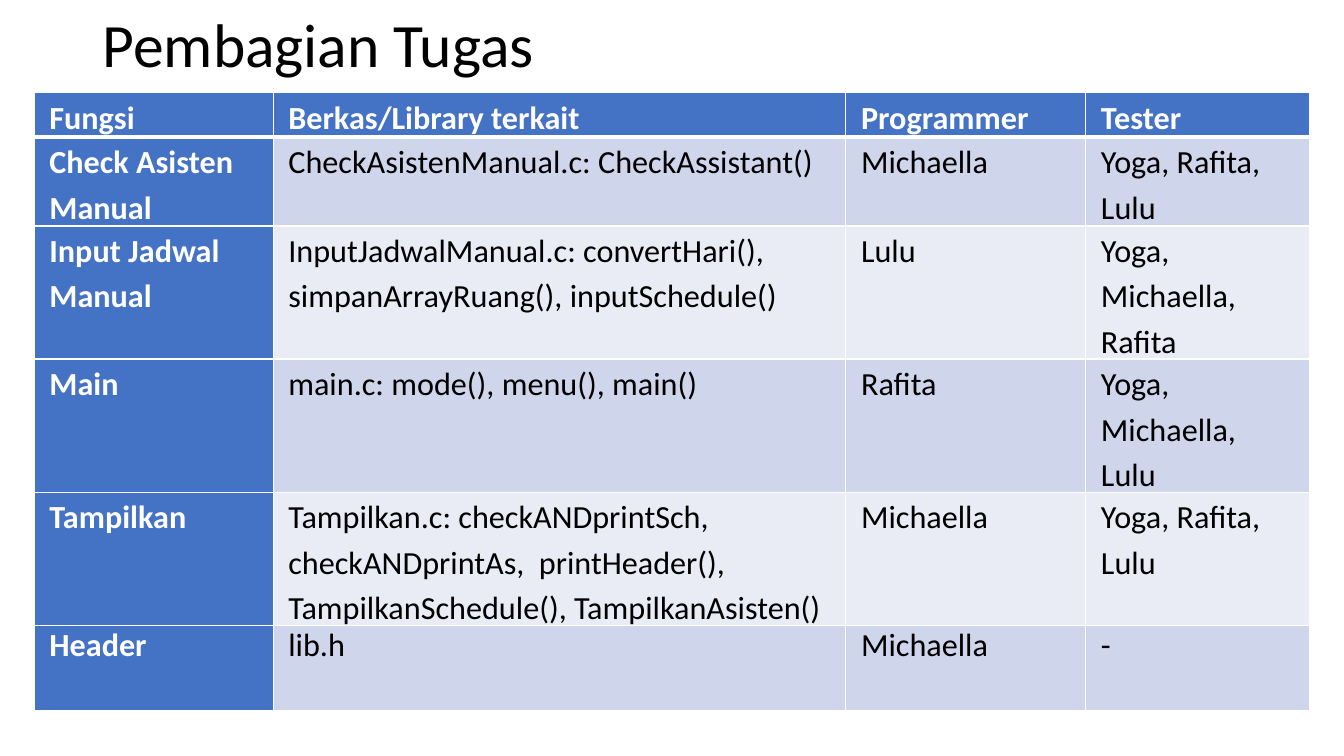
import pptx
import pptx.dml.color
import pptx.enum.text
import pptx.oxml
import pptx.oxml.ns
import pptx.util

Inches = pptx.util.Inches
Pt = pptx.util.Pt

COLORS = {
    "text": "000000",
    "white": "FFFFFF",
    "heading": "4472C4",
    "odd_row": "CFD5EA",
    "even_row": "E9EBF5",
}
FONT = "Calibri"
TASKS = [
    ("Fungsi", "Berkas/Library terkait", "Programmer", "Tester"),
    ("Check Asisten Manual", "CheckAsistenManual.c: CheckAssistant()",
     "Michaella", "Yoga, Rafita, Lulu"),
    ("Input Jadwal Manual",
     "InputJadwalManual.c: convertHari(), simpanArrayRuang(), inputSchedule()",
     "Lulu", "Yoga, Michaella, Rafita"),
    ("Main", "main.c: mode(), menu(), main()",
     "Rafita", "Yoga, Michaella, Lulu"),
    ("Tampilkan",
     "Tampilkan.c: checkANDprintSch, checkANDprintAs,  printHeader(), "
     "TampilkanSchedule(), TampilkanAsisten()",
     "Michaella", "Yoga, Rafita, Lulu"),
    ("Header", "lib.h", "Michaella", "-"),
]
COLUMN_WIDTHS = (2.37, 5.68, 2.38, 2.22)
ROW_HEIGHTS = (0.41, 0.85, 1.28, 1.28, 1.28, 0.85)


def rgb(name):
    """Return the named palette colour."""
    return pptx.dml.color.RGBColor.from_string(COLORS[name])


def add_text(paragraph, text, size, color, bold=False):
    """Append one formatted run to a paragraph."""
    run = paragraph.add_run()
    run.text = text
    run.font.name = FONT
    run.font.size = Pt(size)
    run.font.bold = bold
    run.font.color.rgb = rgb(color)


def set_borders(cell, bottom_width):
    """Draw white borders of 1 pt, with the given width at the bottom."""
    properties = cell._tc.get_or_add_tcPr()
    for position, side in enumerate("LRTB"):
        width = Pt(bottom_width if side == "B" else 1)
        properties.insert(position, pptx.oxml.parse_xml(
            f'<a:ln{side} {pptx.oxml.ns.nsdecls("a")} w="{width}"><a:solidFill>'
            f'<a:srgbClr val="{COLORS["white"]}"/></a:solidFill></a:ln{side}>'))


def add_title(slide, left, top, width, height):
    """Place the slide title in the given box."""
    title = slide.shapes.add_textbox(
        Inches(left), Inches(top), Inches(width), Inches(height)).text_frame
    title.word_wrap = True
    title.vertical_anchor = pptx.enum.text.MSO_ANCHOR.MIDDLE
    title.paragraphs[0].line_spacing = 0.9
    add_text(title.paragraphs[0], "Pembagian Tugas", 44, "text")


def fill_cell(cell, text, row, column):
    """Write and style one cell according to its place in the table."""
    heading = row == 0 or column == 0
    band = "odd_row" if row % 2 else "even_row"
    cell.margin_left = cell.margin_right = Inches(0.15)
    cell.margin_top = cell.margin_bottom = 0
    cell.fill.solid()
    cell.fill.fore_color.rgb = rgb("heading" if heading else band)
    set_borders(cell, 3 if row == 0 else 1)
    paragraph = cell.text_frame.paragraphs[0]
    paragraph.space_before = Pt(12)
    if row < len(TASKS) - 1:
        paragraph.line_spacing = 1.15
    add_text(paragraph, text, 23, "white" if heading else "text", heading)


def add_task_table(slide, left, top):
    """Place the table of tasks with its corner at the given point."""
    table = slide.shapes.add_table(
        len(TASKS), len(COLUMN_WIDTHS), Inches(left), Inches(top),
        Inches(sum(COLUMN_WIDTHS)), Inches(sum(ROW_HEIGHTS))).table
    for column, width in zip(table.columns, COLUMN_WIDTHS):
        column.width = Inches(width)
    for row, height in zip(table.rows, ROW_HEIGHTS):
        row.height = Inches(height)
    table.first_col = True
    for row, task in enumerate(TASKS):
        for column, text in enumerate(task):
            fill_cell(table.cell(row, column), text, row, column)


def main():
    """Build and save the presentation."""
    presentation = pptx.Presentation()
    presentation.slide_width = Inches(13.33)
    presentation.slide_height = Inches(7.5)
    slide = presentation.slides.add_slide(presentation.slide_layouts[6])
    add_title(slide, 0.92, 0.02, 11.5, 0.91)
    add_task_table(slide, 0.34, 0.92)
    presentation.save("out.pptx")


if __name__ == "__main__":
    main()
